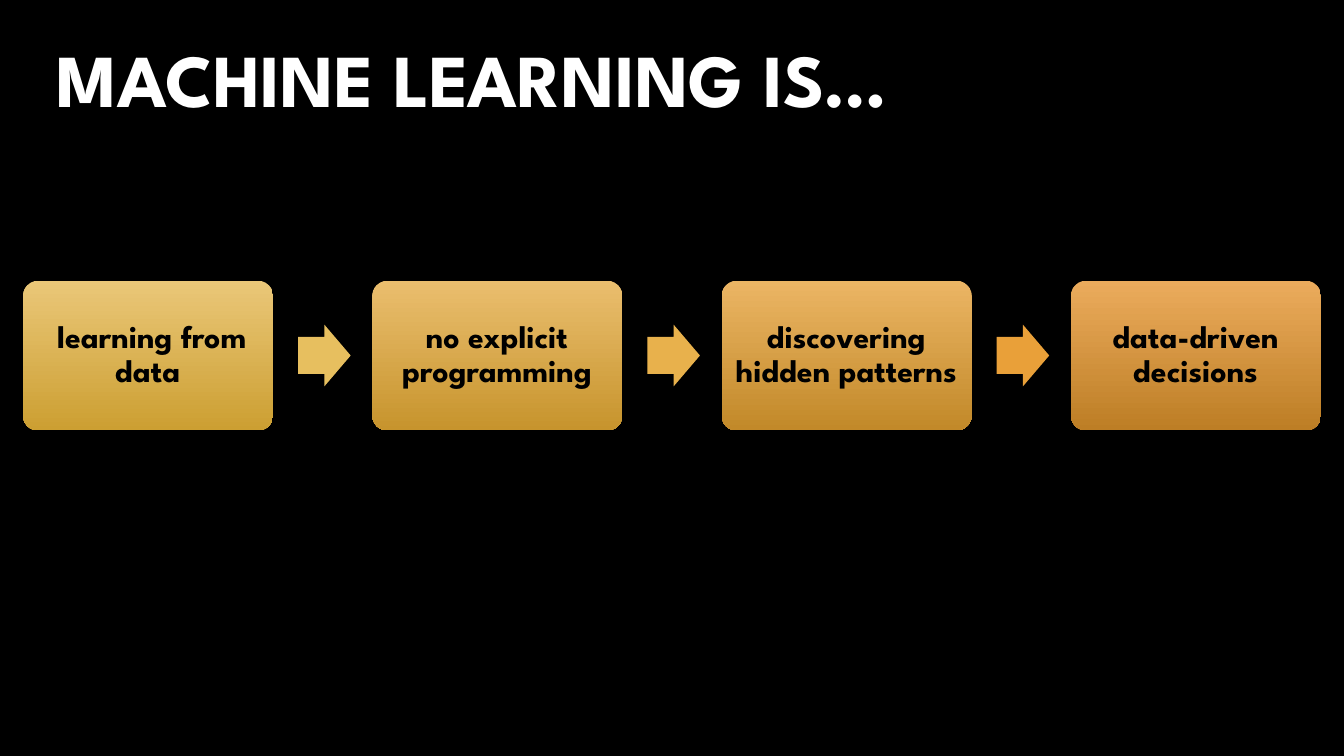
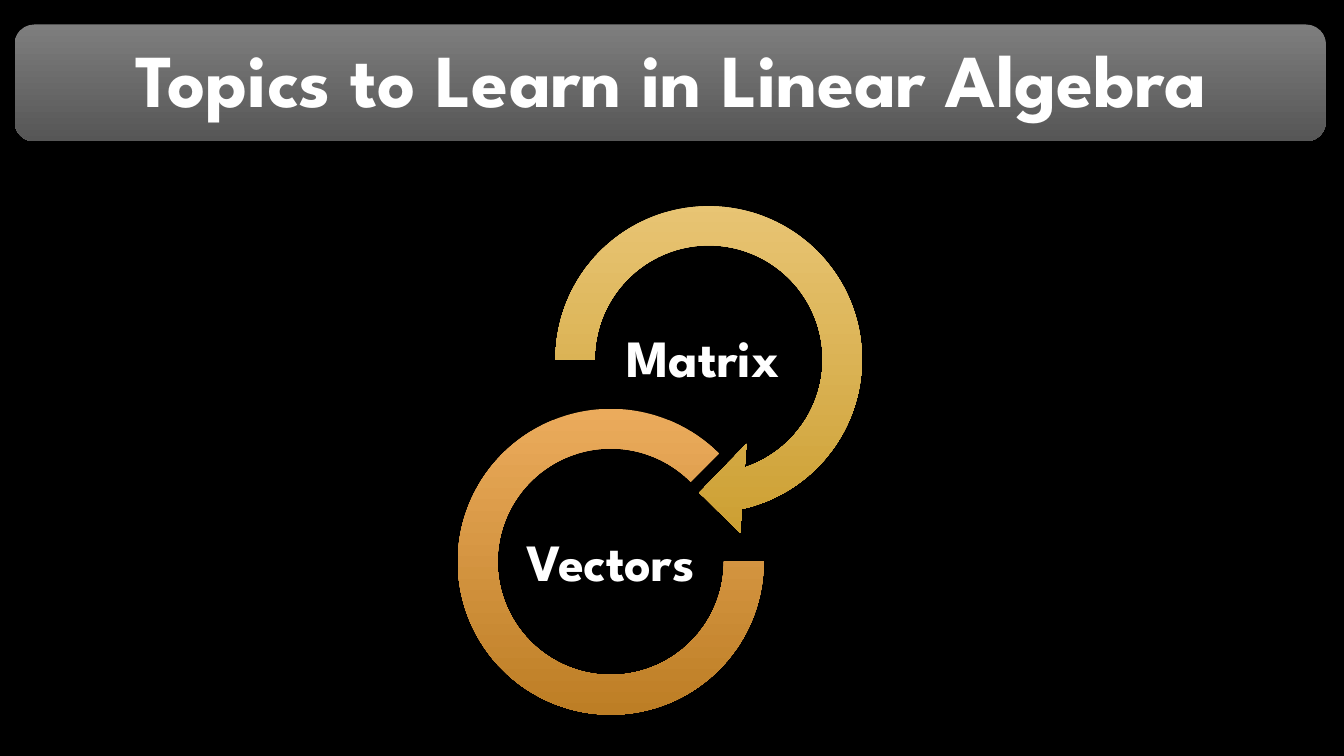
"""Build two slides: what machine learning is, and the linear algebra topics."""
from pptx import Presentation
from pptx.dml.color import RGBColor
from pptx.enum.shapes import MSO_SHAPE
from pptx.enum.text import MSO_ANCHOR, MSO_AUTO_SIZE, PP_ALIGN
from pptx.util import Pt

PX = 9144000 / 1920
W, H = 1920, 1080
FONT = "League Spartan"
ROUND_RECT = MSO_SHAPE.ROUNDED_RECTANGLE
RIGHT_ARROW = MSO_SHAPE.RIGHT_ARROW
CIRCULAR_ARROW = MSO_SHAPE.CIRCULAR_ARROW
BLOCK_ARC = MSO_SHAPE.BLOCK_ARC
MIDDLE = MSO_ANCHOR.MIDDLE
CENTER, LEFT = PP_ALIGN.CENTER, PP_ALIGN.LEFT
FIT_SHAPE = MSO_AUTO_SIZE.SHAPE_TO_FIT_TEXT

COLORS = {
    "black": "000000",
    "white": "FFFFFF",
    "silver": "A6A6A6",
    "banner_top": "7E7E7E",
    "banner_end": "565656",
    "gold_top": "EAC778",
    "gold_end": "CC9F32",
    "amber_top": "EABE6E",
    "amber_end": "C7942D",
    "honey_top": "EBB564",
    "honey_end": "C28929",
    "orange_top": "EBAB5C",
    "orange_end": "BD7E25",
    "arrow_1": "E7BF5F",
    "arrow_2": "E8B14C",
    "arrow_3": "E9A039",
}
RGB = {name: RGBColor.from_string(value) for name, value in COLORS.items()}


def add_shape(s, kind, box, colors, adj=()):
    sp = s.shapes.add_shape(kind, *[round(v * PX) for v in box])
    sp.shadow.inherit = False
    sp.line.fill.background()
    for i, value in enumerate(adj):
        sp.adjustments[i] = value
    if len(colors) == 1:
        sp.fill.solid()
        sp.fill.fore_color.rgb = RGB[colors[0]]
    else:
        sp.fill.gradient()
        sp.fill.gradient_angle = 270
        for stop, name in zip(sp.fill.gradient_stops, colors):
            stop.color.rgb = RGB[name]


def add_text(s, box, runs, size, color, inset=0, align=CENTER, spacing=0.9):
    tf = s.shapes.add_textbox(*[round(v * PX) for v in box]).text_frame
    tf.word_wrap = True
    tf.vertical_anchor = MIDDLE
    tf.margin_left = tf.margin_right = round(inset * PX)
    tf.margin_top = tf.margin_bottom = round(inset * PX)
    p = tf.paragraphs[0]
    p.alignment = align
    p.line_spacing = spacing
    for text in runs:
        r = p.add_run()
        r.text = text
        r.font.name = FONT
        r.font.size = Pt(size)
        r.font.bold = True
        r.font.color.rgb = RGB[color]
    return tf


prs = Presentation()
prs.slide_width, prs.slide_height = round(W * PX), round(H * PX)
slides = []
for _ in range(2):
    s = prs.slides.add_slide(prs.slide_layouts[6])
    s.background.fill.solid()
    s.background.fill.fore_color.rgb = RGB["black"]
    slides.append(s)
ml, algebra = slides

tf = add_text(ml, (81, 44, 1400, 132), ["MACHINE LEARNING ", "IS…"], 40, "white",
              align=LEFT, spacing=1.0)
tf.margin_top = round(2 * PX)
tf.auto_size = FIT_SHAPE
for r in tf.paragraphs[0].runs:
    r.font.fill.gradient()
    r.font.fill.gradient_angle = 267
    for stop, name in zip(r.font.fill.gradient_stops, ("white", "silver")):
        stop.color.rgb = RGB[name]
tf.paragraphs[0].runs[0].font._element.set("spc", "-10")

steps = [
    (" learning from data", "gold"),
    ("no explicit programming", "amber"),
    ("discovering hidden patterns", "honey"),
    ("data-driven decisions", "orange"),
]
pitch = 499
for i, (text, tone) in enumerate(steps):
    x = 33 + i * pitch
    if i:
        add_shape(ml, RIGHT_ARROW, (x - 106, 464, 75, 88), [f"arrow_{i}"], (0.6, 0.5))
    add_shape(ml, ROUND_RECT, (x, 401, 357, 214), [f"{tone}_top", f"{tone}_end"], (0.1,))
    add_text(ml, (x + 6, 407, 344, 202), [text], 17, "black", inset=13)

add_shape(algebra, ROUND_RECT, (21, 35, 1873, 167), ["banner_top", "banner_end"])
add_text(algebra, (31, 44, 1855, 151), ["Topics to Learn in Linear Algebra"], 40, "white",
         inset=32)

rings = [
    ("Matrix ", CIRCULAR_ARROW, (758, 259, 509, 509), "gold",
     (0.11, 11.42, 45, 108, 1 / 8), (872, 444)),
    ("Vectors", BLOCK_ARC, (654, 584, 437, 437), "orange",
     (0, 189, 0.13), (730, 736)),
]
for text, kind, box, tone, adj, label in rings:
    add_shape(algebra, kind, box, [f"{tone}_top", f"{tone}_end"], adj)
    add_text(algebra, (*label, 284, 142), [text], 28, "white", inset=4)

prs.save("out.pptx")
